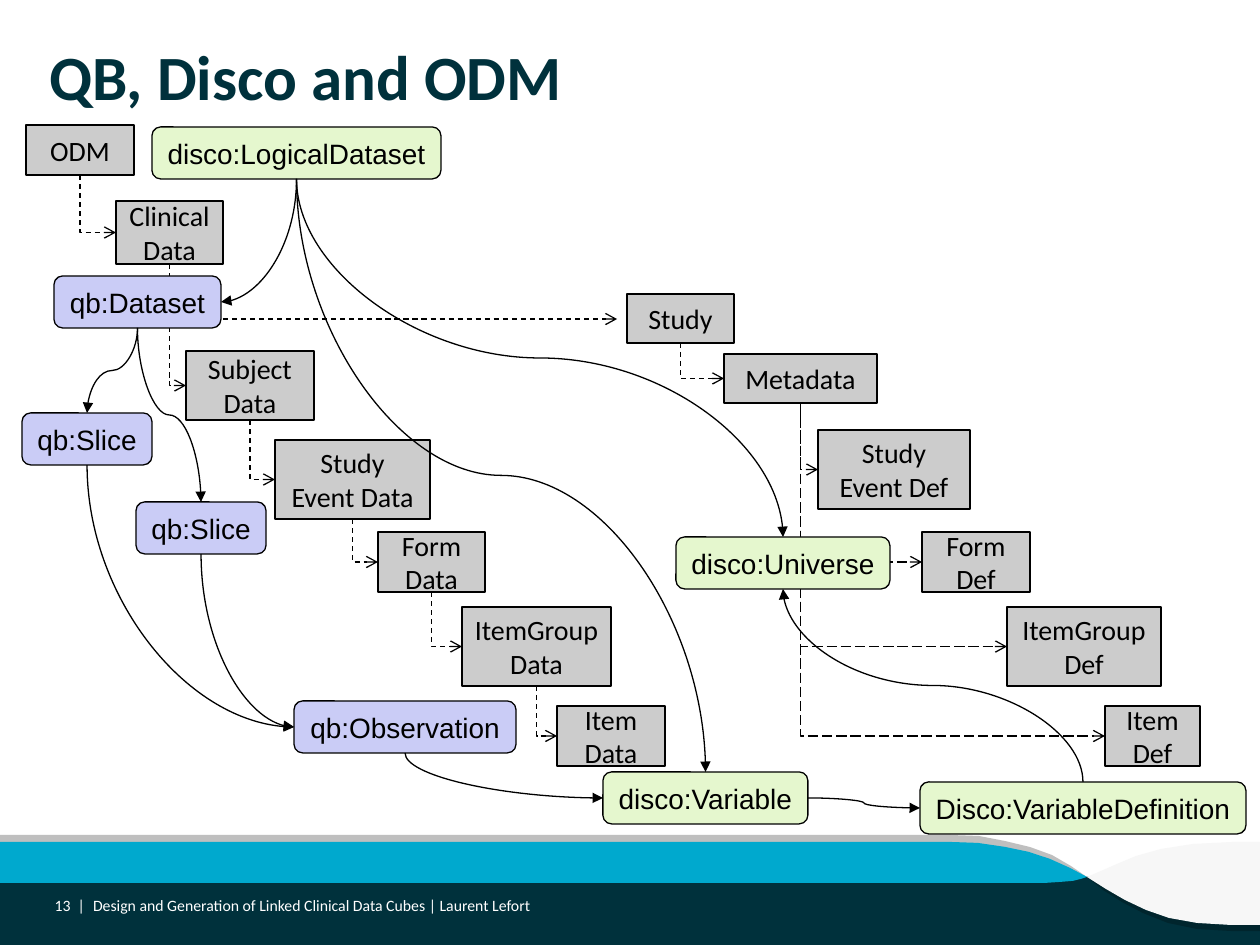
from pptx import Presentation
from pptx.dml.color import RGBColor
from pptx.enum.dml import MSO_LINE as Dash
from pptx.enum.shapes import MSO_CONNECTOR as Link, MSO_SHAPE as Shape
from pptx.enum.text import MSO_ANCHOR as Anchor, PP_ALIGN as Align
from pptx.oxml.ns import qn
from pptx.util import Inches, Pt
from lxml.etree import SubElement

PX = 914400 // 126
COLORS = {
    "navy": "00313C", "shade": "00252D", "cyan": "00A9CE", "silver": "BFBFBF",
    "mist": "F7F7F7", "white": "FFFFFF", "black": "000000",
    "odm": "CCCCCC", "qb": "CACCF6", "disco": "E5F7CE",
}
RGB = {name: RGBColor.from_string(value) for name, value in COLORS.items()}


def write_text(frame, text, font="Calibri", size=16, color="black", bold=False,
               align=Align.CENTER, anchor=Anchor.MIDDLE, margin=None, wrap=True):
    frame.word_wrap = wrap
    frame.vertical_anchor = anchor
    if margin is not None:
        frame.margin_left = frame.margin_right = margin
        frame.margin_top = frame.margin_bottom = margin
    for index, line in enumerate(text.split("\n")):
        para = frame.add_paragraph() if index else frame.paragraphs[0]
        para.alignment = align
        span = para.add_run()
        span.text = line
        span.font.name = font
        span.font.size = Pt(size)
        span.font.bold = bold
        span.font.color.rgb = RGB[color]


def trace_curve(start, x1, y1, x2, y2, x3, y3, steps=6):
    x0, y0 = start
    points = []
    for step in range(1, steps + 1):
        t = step / steps
        a, b, c, d = (1 - t) ** 3, 3 * t * (1 - t) ** 2, 3 * t * t * (1 - t), t ** 3
        points.append((a * x0 + b * x1 + c * x2 + d * x3,
                       a * y0 + b * y1 + c * y2 + d * y3))
    return points


deck = Presentation()
deck.slide_width, deck.slide_height = Inches(10), Inches(7.5)
page = deck.slides.add_slide(deck.slide_layouts[5])
shapes = page.shapes

title = shapes.title
title.left, title.top, title.width, title.height = 49 * PX, 38 * PX, 1166 * PX, 117 * PX
write_text(title.text_frame, "QB, Disco and ODM", size=36, color="navy", bold=True,
           align=Align.LEFT, anchor=Anchor.TOP, margin=0)

base = shapes.add_shape(Shape.RECTANGLE, 0, 877 * PX, 1260 * PX, 68 * PX)
base.shadow.inherit = False
base.fill.solid()
base.fill.fore_color.rgb = RGB["navy"]
base.line.fill.background()

WAVES = [
    ("silver", [(950, 835), (0, 835), (0, 877), (1087, 877),
                (1058, 853, 1009, 835, 950, 835)]),
    ("shade", [(1260, 877), (1087, 877), (1118, 902, 1157, 931, 1231, 931),
               (1260, 931)]),
    ("cyan", [(1087, 877), (1055, 858, 1009, 842, 950, 842), (0, 842), (0, 883),
              (1002, 883), (1058, 883, 1076, 882, 1087, 877)]),
    ("mist", [(1232, 842), (1144, 842, 1113, 868, 1087, 877),
              (1126, 900, 1157, 925, 1231, 925), (1260, 925), (1260, 842)]),
]
for color, outline in WAVES:
    points = []
    for part in outline:
        points += [part] if len(part) == 2 else trace_curve(points[-1], *part)
    builder = shapes.build_freeform(*points[0], scale=PX)
    builder.add_line_segments(points[1:], close=True)
    wave = builder.convert_to_shape()
    wave.shadow.inherit = False
    wave.fill.solid()
    wave.fill.fore_color.rgb = RGB[color]
    wave.line.fill.background()

FOOTER = [
    ("Design and Generation of Linked Clinical Data Cubes | Laurent Lefort",
     93, 838, Align.LEFT),
    ("13  |", 45, 40, Align.RIGHT),
]
for text, left, width, align in FOOTER:
    box = shapes.add_textbox(left * PX, 896 * PX, width * PX, 18 * PX)
    write_text(box.text_frame, text, size=9, color="white", align=align, margin=0)

ODM_BOXES = [
    ("odm", "ODM", 26, 125, 108, 50),
    ("clinical", "Clinical Data", 116, 201, 107, 63),
    ("subject", "Subject Data", 186, 351, 128, 69),
    ("event", "Study Event Data", 275, 440, 155, 79),
    ("form", "Form Data", 378, 532, 107, 60),
    ("group", "ItemGroup\nData", 462, 607, 149, 79),
    ("item", "Item\nData", 557, 706, 108, 60),
    ("study", "Study", 627, 294, 107, 49),
    ("metadata", "Metadata", 724, 354, 153, 49),
    ("event def", "Study Event Def", 818, 430, 152, 79),
    ("form def", "Form Def", 922, 532, 108, 60),
    ("group def", "ItemGroup Def", 1007, 607, 154, 79),
    ("item def", "Item\nDef", 1105, 706, 95, 60),
]
CLASS_BOXES = [
    ("dataset", "qb:Dataset", 54, 276, 167, 52),
    ("slice 1", "qb:Slice", 22, 413, 130, 52),
    ("slice 2", "qb:Slice", 136, 502, 130, 52),
    ("observation", "qb:Observation", 294, 701, 222, 52),
    ("logical", "disco:LogicalDataset", 152, 127, 289, 52),
    ("universe", "disco:Universe", 676, 537, 214, 52),
    ("variable", "disco:Variable", 603, 772, 205, 52),
    ("definition", "Disco:VariableDefinition", 920, 782, 326, 52),
]
TOP, LEFT, BOTTOM, RIGHT = range(4)
ODM_LINKS = [
    (start, BOTTOM, end, LEFT, dash) for start, end, dash in [
        ("odm", "clinical", Dash.DASH), ("clinical", "subject", Dash.DASH),
        ("clinical", (617, 319), Dash.DASH), ("subject", "event", Dash.DASH),
        ("event", "form", Dash.DASH), ("form", "group", Dash.DASH),
        ("group", "item", Dash.DASH), ("study", "metadata", Dash.DASH),
        ("metadata", "event def", Dash.DASH), ("metadata", "form def", Dash.LONG_DASH),
        ("metadata", "group def", Dash.LONG_DASH),
        ("metadata", "item def", Dash.LONG_DASH),
    ]
]
CLASS_LINKS = [
    ("dataset", BOTTOM, "slice 1", TOP, None),
    ("dataset", BOTTOM, "slice 2", TOP, None),
    ("slice 1", BOTTOM, "observation", LEFT, None),
    ("slice 2", BOTTOM, "observation", LEFT, None),
    ("logical", BOTTOM, "dataset", RIGHT, None),
    ("logical", BOTTOM, "universe", TOP, None),
    ("logical", BOTTOM, "variable", TOP, None),
    ("observation", BOTTOM, "variable", LEFT, None),
    ("variable", RIGHT, "definition", LEFT, None),
    ("definition", TOP, "universe", BOTTOM, None),
]
LAYERS = [
    (ODM_BOXES, ODM_LINKS, Shape.RECTANGLE, 1, "Calibri", Link.ELBOW, "bent", "arrow"),
    (CLASS_BOXES, CLASS_LINKS, Shape.ROUNDED_RECTANGLE, 0.75, "Arial", Link.CURVE,
     "curved", "triangle"),
]
placed = {}
for boxes, links, outline, weight, font, link_type, bend, arrowhead in LAYERS:
    for name, text, left, top, width, height in boxes:
        box = shapes.add_shape(outline, left * PX, top * PX, width * PX, height * PX)
        box.shadow.inherit = False
        box.fill.solid()
        family = text.split(":")[0].lower() if ":" in text else "odm"
        box.fill.fore_color.rgb = RGB[family]
        box.line.color.rgb = RGB["black"]
        box.line.width = Pt(weight)
        write_text(box.text_frame, text, font=font, wrap=family == "odm")
        placed[name] = box

    for start, start_side, end, end_side, dash in links:
        link = shapes.add_connector(link_type, 0, 0, 0, 0)
        link.begin_connect(placed[start], start_side)
        if end in placed:
            link.end_connect(placed[end], end_side)
        else:
            link.end_x, link.end_y = end[0] * PX, end[1] * PX
        link.line.color.rgb = RGB["black"]
        link.line.width = Pt(0.75)
        if dash:
            link.line.dash_style = dash

        properties = link._element.spPr
        if start_side != RIGHT:
            x1, y1, x2, y2 = link.begin_x, link.begin_y, link.end_x, link.end_y
            run, drop = abs(x2 - x1), abs(y2 - y1)
            link.left, link.top = (x1 + x2 - drop) // 2, (y1 + y2 - run) // 2
            link.width, link.height = drop, run
            frame = properties.find(qn("a:xfrm"))
            rising = y2 < y1
            frame.rot = 270 if x2 > x1 or rising else 90
            frame.flipH, frame.flipV = x2 > x1, rising
        corners = 3 if (start_side - end_side) % 2 == 0 else 2
        properties.find(qn("a:prstGeom")).set("prst", f"{bend}Connector{corners}")
        SubElement(properties.find(qn("a:ln")), qn("a:tailEnd"), type=arrowhead)
        SubElement(properties, qn("a:effectLst"))

deck.save("out.pptx")
